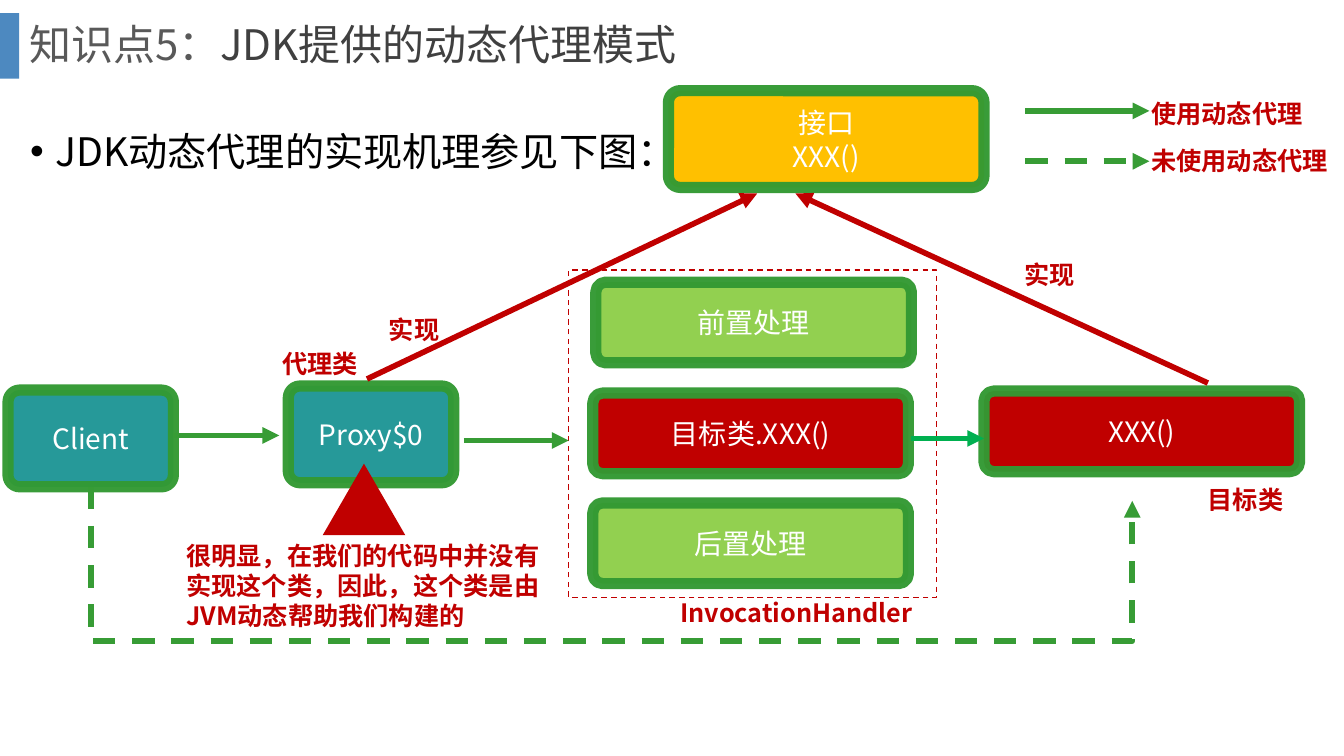
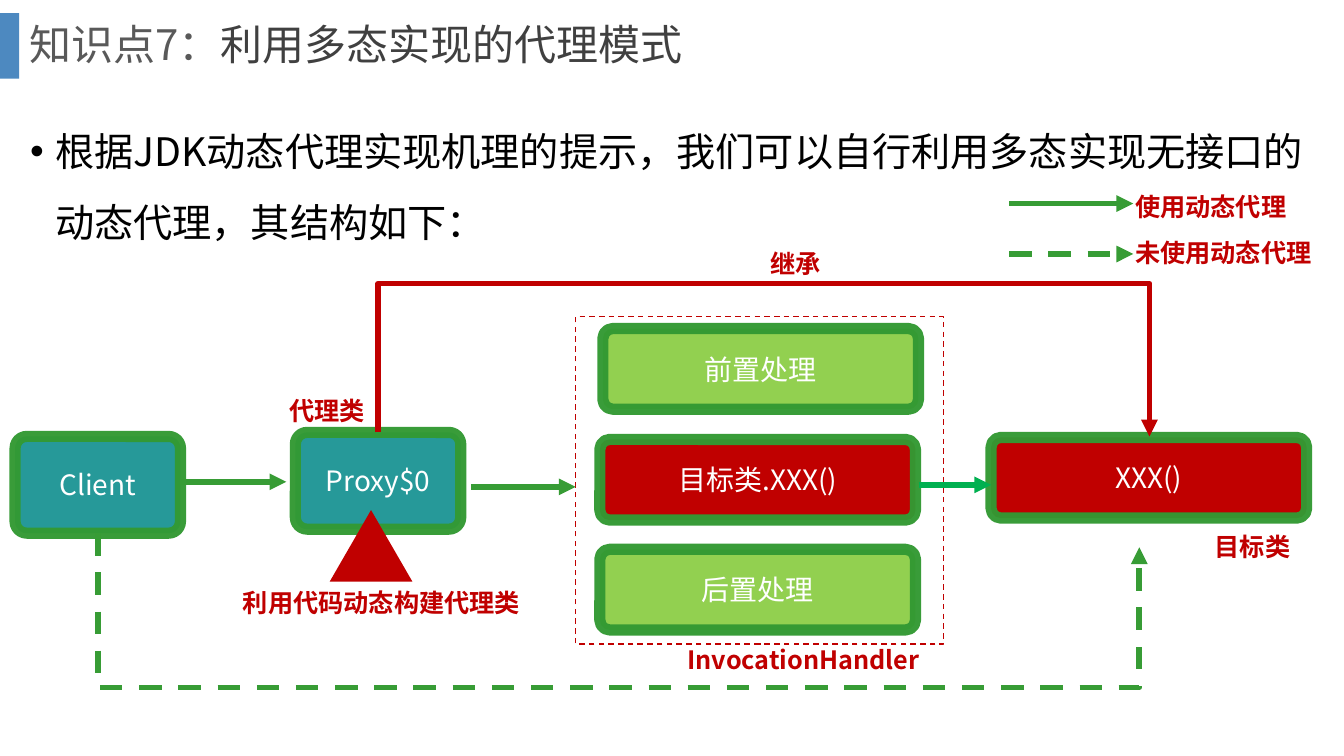
import pptx
import pptx.util
import pptx.dml.color
import pptx.enum.dml
import pptx.enum.shapes
import pptx.enum.text
import pptx.oxml
import pptx.oxml.ns

SHAPE = pptx.enum.shapes.MSO_SHAPE
CONNECTOR = pptx.enum.shapes.MSO_CONNECTOR
ALIGN = pptx.enum.text.PP_ALIGN
ANCHOR = pptx.enum.text.MSO_ANCHOR
FONT = "Noto Sans CJK SC"
WIDTH, HEIGHT = 13.33, 7.5
COLORS = {
    "band": "2E75B6", "number": "595959", "title": "404040", "body": "000000",
    "white": "FFFFFF", "border": "339933", "arrow": "379C35", "call": "00B050",
    "red": "C00000", "lime": "92D050", "teal": "269999", "amber": "FFC000",
}
SMALL, WIDE, TALL_WIDE = (1.64, 0.96), (3.13, 0.8), (3.13, 0.96)

NODES = [
    ("前置处理", (5.83, -1.03), WIDE, "lime"),
    ("目标类.XXX()", (5.8, 0.07), WIDE, "red"),
    ("后置处理", (5.8, 1.16), WIDE, "lime"),
    ("XXX()", (9.68, 0.05), WIDE, "red"),
    ("Client", (0, 0.04), SMALL, "teal"),
    ("Proxy$0", (2.78, 0), SMALL, "teal"),
]
FRAME = (5.56, -1.15, 3.65, 3.25)
POINTER = (3.12, 0.77, 0.82, 0.71)
ARROWS = [
    ((1.64, 0.49), (2.69, 0.49), "arrow"),
    ((4.52, 0.54), (5.56, 0.54), "arrow"),
    ((8.96, 0.52), (9.68, 0.52), "call"),
]
DIRECT_CALL = ((0.82, 1), (11.15, 1.14), 2.53)
CLASS_LABELS = [
    ("代理类", 2.62, -0.42, 1.6),
    ("目标类", 11.8, 0.93, 1.31),
    ("InvocationHandler", 6.57, 2.05, 2.84),
]
LEGEND = [("使用动态代理", 1.89, False), ("未使用动态代理", 1.99, True)]

SLIDES = [
    {
        "title": ("知识点5：", "JDK提供的动态代理模式"),
        "body": "JDK动态代理的实现机理参见下图：",
        "origin": (0.08, 3.83),
        "legend": (10.17, 1.1),
        "nodes": [("接口\nXXX()", (6.63, 0.9), TALL_WIDE, "amber")],
        "arrows": [((3.64, 3.76), (7.51, 1.92)), ((11.98, 3.8), (7.89, 1.92))],
        "bends": [],
        "labels": [
            ("实现", 3.76, 3.07, 1.6),
            ("实现", 10.06, 2.52, 1.6),
            ("很明显，在我们的代码中并没有实现这个类，因此，这个类是由JVM动态帮助我们构建的", 1.75, 5.31, 3.83),
        ],
    },
    {
        "title": ("知识点7：", "利用多态实现的代理模式"),
        "body": "根据JDK动态代理实现机理的提示，我们可以自行利用多态实现无接口的动态代理，其结构如下：",
        "origin": (0.15, 4.29),
        "legend": (10.01, 2.02),
        "nodes": [],
        "arrows": [],
        "bends": [((3.75, 4.29), (11.4, 4.33), 2.82)],
        "labels": [
            ("继承", 7.54, 2.41, 1.6),
            ("利用代码动态构建代理类", 2.31, 5.78, 3.11),
        ],
    },
]


def rgb(name):
    return pptx.dml.color.RGBColor.from_string(COLORS[name])


def inches(*values):
    return [pptx.util.Inches(v) for v in values]


def add_xml(parent, tag, **attrs):
    el = pptx.oxml.parse_xml(f"<a:{tag} {pptx.oxml.ns.nsdecls('a')}/>")
    for key, value in attrs.items():
        el.set(key, str(value))
    parent.append(el)
    return el


def set_alpha(sp, percent):
    for color in sp._element.spPr.iter(pptx.oxml.ns.qn("a:srgbClr")):
        if percent[0] == "line" and color.getparent().getparent() is sp._element.spPr:
            continue
        add_xml(color, "alpha", val=percent[1] * 1000)


def set_font(p, size, color=None, bold=False):
    p.font.size = pptx.util.Pt(size)
    p.font.name = FONT
    p.font.bold = bold
    if color:
        p.font.color.rgb = rgb(color)
    add_xml(p._p.pPr.find(pptx.oxml.ns.qn("a:defRPr")), "ea", typeface=FONT)


def add_shape(s, kind, box, fill=None, line=None, weight=1):
    sp = s.shapes.add_shape(kind, *inches(*box))
    sp.shadow.inherit = False
    if fill:
        sp.fill.solid()
        sp.fill.fore_color.rgb = rgb(fill)
    else:
        sp.fill.background()
    if line:
        sp.line.color.rgb = rgb(line)
        sp.line.width = pptx.util.Pt(weight)
    else:
        sp.line.fill.background()
    return sp


def add_text_box(s, box):
    tf = s.shapes.add_textbox(*inches(*box)).text_frame
    tf.word_wrap = True
    return tf


def add_label(s, text, x, y, w):
    tf = add_text_box(s, (x, y, w, 0.4))
    tf.auto_size = pptx.enum.text.MSO_AUTO_SIZE.SHAPE_TO_FIT_TEXT
    tf.text = text
    set_font(tf.paragraphs[0], 18, "red", True)


def add_node(s, text, at, size, fill):
    sp = add_shape(s, SHAPE.ROUNDED_RECTANGLE, (*at, *size), fill, "border", 8)
    sp.adjustments[0] = 0.121
    set_alpha(sp, ("line", 96))
    tf = sp.text_frame
    tf.vertical_anchor = ANCHOR.MIDDLE
    tf.text = text
    for p in tf.paragraphs:
        p.alignment = ALIGN.CENTER
        set_font(p, 20, "white")


def style_arrow(c, color, dashed):
    c.line.color.rgb = rgb(color)
    c.line.width = pptx.util.Pt(4)
    if dashed:
        c.line.dash_style = pptx.enum.dml.MSO_LINE.DASH
    add_xml(c.line._get_or_add_ln(), "tailEnd", type="triangle")
    add_xml(c._element.spPr, "effectLst")


def add_arrow(s, start, end, color, dashed=False):
    c = s.shapes.add_connector(CONNECTOR.STRAIGHT, *inches(*start, *end))
    style_arrow(c, color, dashed)


def add_bend(s, start, end, turn_y, color, dashed=False):
    (x1, y1), (x2, y2) = start, end
    w, h = y2 - y1, x2 - x1
    left, top = (x1 + x2 - w) / 2, (y1 + y2 - h) / 2
    c = s.shapes.add_connector(CONNECTOR.ELBOW, *inches(left, top, left + w, top + h))
    spPr = c._element.spPr
    spPr.xfrm.set("rot", str(270 * 60000))
    spPr.xfrm.set("flipH", "1")
    geom = spPr.find(pptx.oxml.ns.qn("a:prstGeom"))
    guides = geom.find(pptx.oxml.ns.qn("a:avLst"))
    if guides is None:
        guides = add_xml(geom, "avLst")
    add_xml(guides, "gd", name="adj1", fmla=f"val {round((turn_y - y1) / w * 100000)}")
    style_arrow(c, color, dashed)


def add_heading(s, title, body):
    band = add_shape(s, SHAPE.RECTANGLE, (0, 0.13, 0.19, 0.65), "band")
    set_alpha(band, ("fill", 85))
    tf = add_text_box(s, (0.19, 0, WIDTH * 0.95, 0.93))
    tf.vertical_anchor = ANCHOR.MIDDLE
    p = tf.paragraphs[0]
    p.line_spacing = 0.9
    set_font(p, 30)
    for text, color in zip(title, ("number", "title")):
        r = p.add_run()
        r.text = text
        r.font.color.rgb = rgb(color)
    tf = add_text_box(s, (0.2, 0.98, 12.9, 5.96))
    tf.text = body
    p = tf.paragraphs[0]
    p.line_spacing = 1.5
    pPr = p._p.get_or_add_pPr()
    indent = pptx.util.Inches(0.25)
    pPr.set("marL", str(indent))
    pPr.set("indent", str(-indent))
    add_xml(pPr, "buFont", typeface="Arial")
    add_xml(pPr, "buChar", char="•")
    set_font(p, 28, "body")


def add_legend(s, x, y):
    for i, (text, w, dashed) in enumerate(LEGEND):
        line_y = y + 0.5 * i
        add_arrow(s, (x, line_y), (x + 1.23, line_y), "arrow", dashed)
        add_label(s, text, x + 1.15, y - 0.17 + 0.46 * i, w)


def add_diagram(s, origin):
    ox, oy = origin

    def shift(point):
        return point[0] + ox, point[1] + oy

    frame = add_shape(s, SHAPE.RECTANGLE, (*shift(FRAME), *FRAME[2:]), None, "red")
    frame.line.dash_style = pptx.enum.dml.MSO_LINE.DASH
    for text, at, size, fill in NODES:
        add_node(s, text, shift(at), size, fill)
    for start, end, color in ARROWS:
        add_arrow(s, shift(start), shift(end), color)
    start, end, turn_y = DIRECT_CALL
    add_bend(s, shift(start), shift(end), turn_y + oy, "arrow", True)
    for text, x, y, w in CLASS_LABELS:
        add_label(s, text, x + ox, y + oy, w)
    add_shape(s, SHAPE.ISOSCELES_TRIANGLE, (*shift(POINTER), *POINTER[2:]), "red")


def main():
    prs = pptx.Presentation()
    prs.slide_width, prs.slide_height = inches(WIDTH, HEIGHT)
    for content in SLIDES:
        s = prs.slides.add_slide(prs.slide_layouts[6])
        add_heading(s, content["title"], content["body"])
        for node in content["nodes"]:
            add_node(s, *node)
        add_diagram(s, content["origin"])
        add_legend(s, *content["legend"])
        for start, end in content["arrows"]:
            add_arrow(s, start, end, "red")
        for bend in content["bends"]:
            add_bend(s, *bend, "red")
        for label in content["labels"]:
            add_label(s, *label)
    prs.save("out.pptx")


if __name__ == "__main__":
    main()
